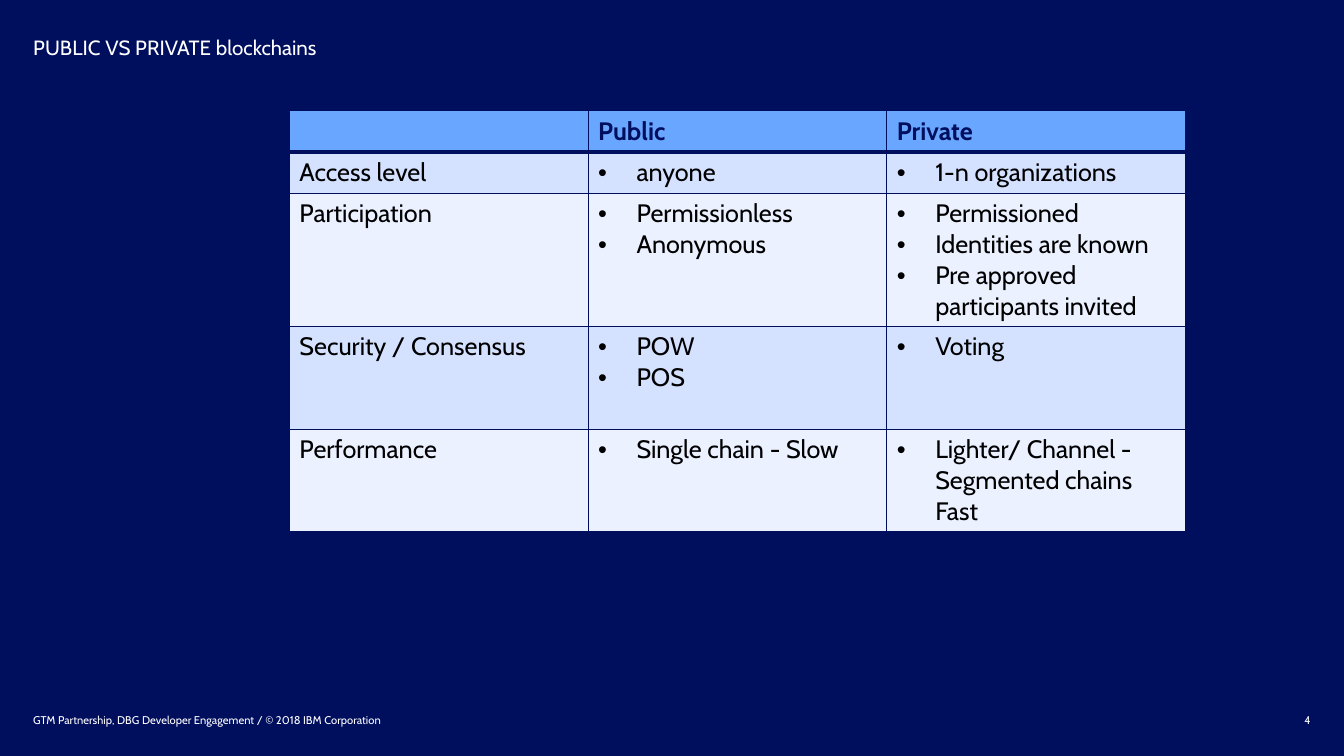
import pptx
import pptx.util
import pptx.dml.color
import pptx.enum.text
import pptx.oxml.ns
from lxml import etree

Inches = pptx.util.Inches
Pt = pptx.util.Pt
ALIGN = pptx.enum.text.PP_ALIGN
ANCHOR = pptx.enum.text.MSO_ANCHOR
qn = pptx.oxml.ns.qn

FONT = "Cabin"
COLORS = {
    "navy": "000E5E",
    "white": "FFFFFF",
    "black": "000000",
    "head": "69A6FF",
    "odd": "D4E1FF",
    "even": "EBF1FF",
}
HEADS = ["", "Public", "Private"]
ROWS = [
    ("Access level", ["anyone"], ["1-n organizations"]),
    ("Participation", ["Permissionless", "Anonymous"],
     ["Permissioned", "Identities are known", "Pre approved participants invited"]),
    ("Security / Consensus", ["POW", "POS"], ["Voting"]),
    ("Performance", ["Single chain - Slow"], ["Lighter/ Channel - Segmented chains Fast"]),
]
HEIGHTS = [0.41, 0.41, 1.32, 1.02, 1.01]


def color(name):
    return pptx.dml.color.RGBColor.from_string(COLORS[name])


def add_run(para, text, size, ink, bold=False):
    run = para.add_run()
    run.text = text
    run.font.name = FONT
    run.font.size = Pt(size)
    run.font.bold = bold
    run.font.color.rgb = color(ink)


def add_label(slide, box, text, size, align=ALIGN.LEFT, anchor=ANCHOR.MIDDLE):
    frame = slide.shapes.add_textbox(*map(Inches, box)).text_frame
    frame.word_wrap = True
    frame.vertical_anchor = anchor
    frame.margin_left = frame.margin_right = 0
    frame.margin_top = frame.margin_bottom = 0
    para = frame.paragraphs[0]
    para.alignment = align
    add_run(para, text, size, "white")


def add_bullet(para):
    props = para._p.get_or_add_pPr()
    props.set("marL", str(Inches(0.38)))
    props.set("indent", str(-Inches(0.38)))
    etree.SubElement(props, qn("a:buFont")).set("typeface", "Arial")
    etree.SubElement(props, qn("a:buChar")).set("char", "•")


def add_borders(cell, top, bottom):
    """Rule all four sides in navy; top and bottom are widths in points."""
    props = cell._tc.get_or_add_tcPr()
    for side, width in (("L", 1), ("R", 1), ("T", top), ("B", bottom)):
        line = etree.SubElement(props, qn("a:ln" + side))
        line.set("w", str(Pt(width)))
        fill = etree.SubElement(line, qn("a:solidFill"))
        etree.SubElement(fill, qn("a:srgbClr")).set("val", COLORS["navy"])


def fill_cell(cell, row, texts, bullets):
    add_borders(cell, 3 if row == 1 else 1, 3 if row == 0 else 1)
    cell.fill.solid()
    cell.fill.fore_color.rgb = color("head" if row == 0 else "odd" if row % 2 else "even")
    frame = cell.text_frame
    for i, text in enumerate(texts):
        para = frame.add_paragraph() if i else frame.paragraphs[0]
        if bullets:
            add_bullet(para)
        if text:
            add_run(para, text, 18, "black" if row else "navy", bold=row == 0)


def add_grid(slide, left, top, width):
    shape = slide.shapes.add_table(
        len(HEIGHTS), len(HEADS),
        *map(Inches, (left, top, width, sum(HEIGHTS))))
    table = shape.table
    for col in table.columns:
        col.width = Inches(width / len(HEADS))
    for row, height in zip(table.rows, HEIGHTS):
        row.height = Inches(height)
    for c, head in enumerate(HEADS):
        fill_cell(table.cell(0, c), 0, [head], False)
    for r, (label, *lists) in enumerate(ROWS, 1):
        fill_cell(table.cell(r, 0), r, [label], False)
        for c, texts in enumerate(lists, 1):
            fill_cell(table.cell(r, c), r, texts, True)


def add_footer(slide, left, top, width):
    add_label(slide, (left, top, 9.33, 0.2),
              "GTM Partnership, DBG Developer Engagement / © 2018 IBM Corporation", 8)
    add_label(slide, (left + width - 3, top, 3, 0.2), "4", 8, ALIGN.RIGHT)


def main():
    deck = pptx.Presentation()
    deck.slide_width = Inches(13.33)
    deck.slide_height = Inches(7.5)
    slide = deck.slides.add_slide(deck.slide_layouts[6])
    slide.background.fill.solid()
    slide.background.fill.fore_color.rgb = color("navy")
    add_label(slide, (0.33, 0.35, 6, 0.44), "PUBLIC VS PRIVATE blockchains",
              14.7, anchor=ANCHOR.TOP)
    add_grid(slide, 2.87, 1.1, 8.89)
    add_footer(slide, 0.33, 7.04, 12.67)
    deck.save("out.pptx")


if __name__ == "__main__":
    main()
